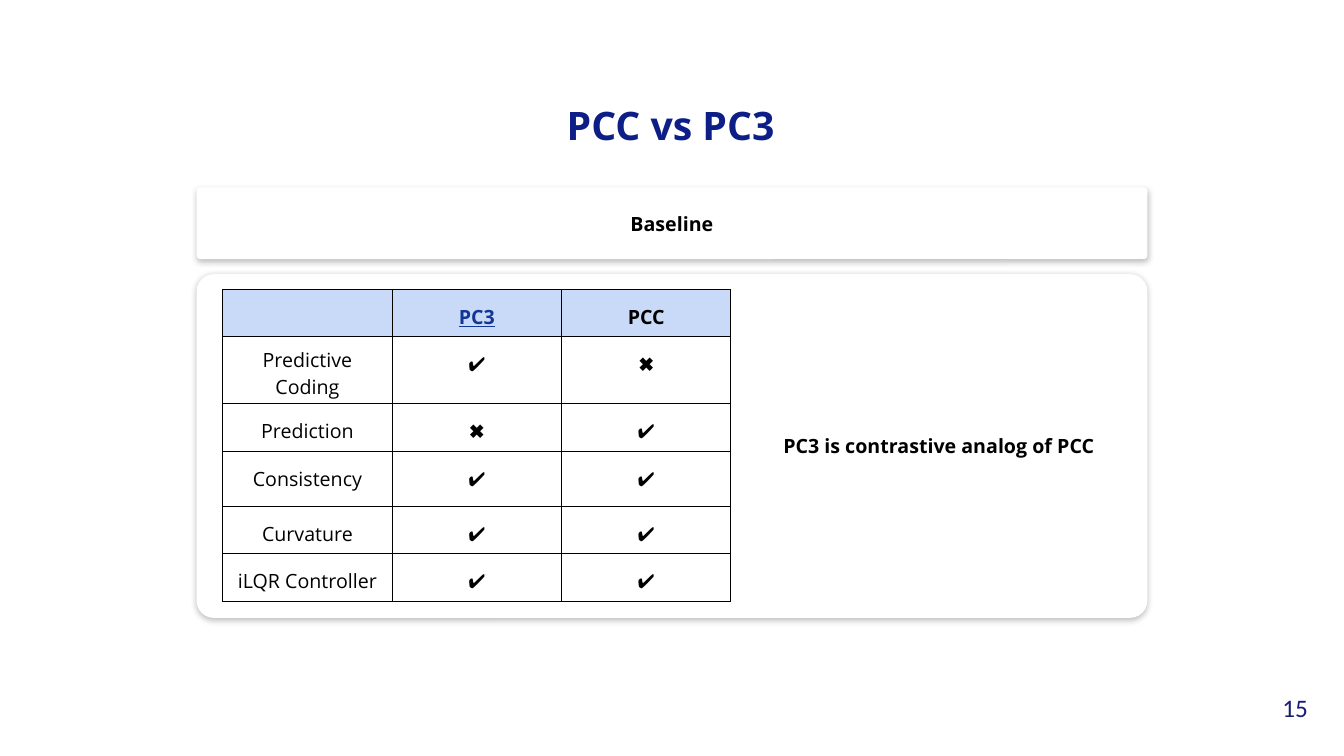
from lxml import etree
from pptx import Presentation
from pptx.dml.color import RGBColor
from pptx.enum.shapes import MSO_SHAPE as Shape
from pptx.enum.text import MSO_ANCHOR as Anchor, PP_ALIGN as Align
from pptx.oxml import parse_xml
from pptx.util import Pt

PX = 9144  # 100 px to the inch
NS = 'xmlns:a="http://schemas.openxmlformats.org/drawingml/2006/main"'
hue = RGBColor.from_string


def write(frame, text, size=14, color="000000", font="Open Sans",
          align=Align.CENTER, space=None, **style):
    frame.word_wrap = True
    para = frame.paragraphs[0]
    para.alignment = align
    if space:
        para.line_spacing = space
    run = para.add_run()
    run.text = text
    run.font.color.rgb = hue(color)
    look = {"size": Pt(size), "name": font, **style}
    for key, val in look.items():
        setattr(run.font, key, val)


deck = Presentation()
deck.slide_width, deck.slide_height = 1333 * PX, 750 * PX
slide = deck.slides.add_slide(deck.slide_layouts[6])
shapes = slide.shapes

# Page number and title
page = shapes.add_textbox(1255 * PX, 672 * PX, 59 * PX, 59 * PX).text_frame
page.vertical_anchor = Anchor.MIDDLE
write(page, "15", 18, "181E75", "Calibri")
title = shapes.add_textbox(74 * PX, 96 * PX, 1182 * PX, 57 * PX).text_frame
write(title, "PCC vs PC3", 28, "0D1E87", bold=True)

# White cards with a soft shadow
for top, high, label in [(272, 341, ""), (186, 71, "Baseline")]:
    card = shapes.add_shape(Shape.ROUNDED_RECTANGLE,
                            195 * PX, top * PX, 943 * PX, high * PX)
    card.adjustments[0] = 0.05
    card.fill.solid()
    card.fill.fore_color.rgb = hue("FFFFFF")
    card.line.fill.background()
    card.shadow.inherit = False
    glow = card._element.spPr.find("{*}effectLst")
    glow.append(parse_xml(
        f'<a:outerShdw {NS} blurRad="{Pt(4.5)}" dist="{Pt(1.5)}" '
        'dir="5400000" algn="bl" rotWithShape="0"><a:srgbClr val="000000">'
        '<a:alpha val="25000"/></a:srgbClr></a:outerShdw>'))
    if label:
        card.text_frame.vertical_anchor = Anchor.MIDDLE
        write(card.text_frame, label, bold=True)

# Comparison table
rows = [
    ("", "PC3", "PCC"),
    ("Predictive Coding", "✔️", "✖️"),
    ("Prediction", "✖️", "✔️"),
    ("Consistency", "✔️", "✔️"),
    ("Curvature", "✔️", "✔️"),
    ("iLQR Controller", "✔️", "✔️"),
]
highs = [47, 47, 45, 55, 45, 45]
table = shapes.add_table(len(rows), 3, 221 * PX, 287 * PX,
                         504 * PX, sum(highs) * PX).table
for col in table.columns:
    col.width = 168 * PX
for r, (row, high) in enumerate(zip(rows, highs)):
    table.rows[r].height = high * PX
    for c, text in enumerate(row):
        cell = table.cell(r, c)
        props = cell._tc.get_or_add_tcPr()
        for side in "LRTB":
            props.append(etree.fromstring(
                f'<a:ln{side} {NS} w="{Pt(0.75)}"><a:solidFill>'
                f'<a:srgbClr val="000000"/></a:solidFill></a:ln{side}>'))
        if r == 0:
            cell.fill.solid()
            cell.fill.fore_color.rgb = hue("C9DAF8")
        else:
            cell.fill.background()
        if not text:
            continue
        for side in ("left", "right", "top", "bottom"):
            setattr(cell, f"margin_{side}", 10 * PX)
        link = text == "PC3"
        write(cell.text_frame, text, color="123693" if link else "000000",
              space=None if text == "Predictive Coding" else 1.15,
              bold=r == 0, underline=link)

# Remark beside the table
note = shapes.add_textbox(767 * PX, 420 * PX, 348 * PX, 45 * PX).text_frame
note.margin_top = note.margin_bottom = 10 * PX
write(note, "PC3 is contrastive analog of PCC", align=Align.LEFT, bold=True)

deck.save("out.pptx")
